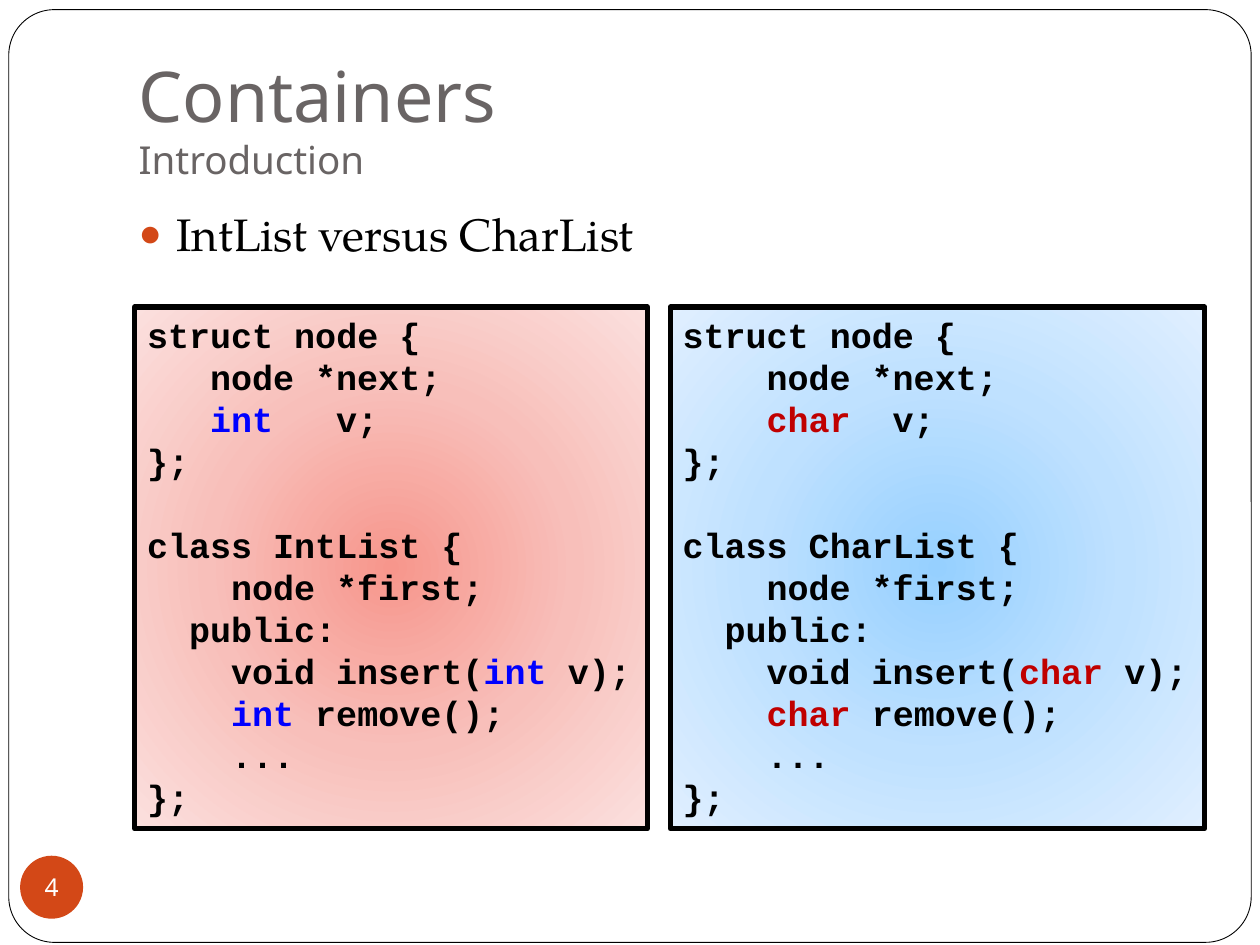
from dataclasses import dataclass

from lxml.etree import SubElement
from pptx import Presentation
from pptx.dml.color import RGBColor
from pptx.enum.shapes import MSO_SHAPE
from pptx.enum.text import MSO_ANCHOR, MSO_AUTO_SIZE, PP_ALIGN
from pptx.oxml import parse_xml
from pptx.oxml.ns import nsdecls, qn
from pptx.util import Pt

COLORS = {
    "black": "000000", "white": "FFFFFF", "title": "696464",
    "accent": "D34817", "int": "0000FF", "char": "C00000",
}
SANS, SERIF, MONO = "Noto Sans", "TeX Gyre Pagella", "Courier New"
CODE_SIZE = 20
CHARACTER_WIDTH = 0.6 * CODE_SIZE
LINE_HEIGHT = 24


@dataclass
class CodeLine:
    indent: int                  # in characters
    pieces: list[str]            # a piece equal to the type name is coloured
    gap_before: bool = False


@dataclass
class CodePanel:
    left: float
    width: float
    type_name: str
    class_name: str
    node_indent: int
    gradient: tuple[str, str, str]


PANELS = [
    CodePanel(77, 293, "int", "IntList", 3, ("F7968C", "F8BFBA", "FBE0DE")),
    CodePanel(383, 305.5, "char", "CharList", 4, ("96D0FF", "BFE1FF", "E0EFFF")),
]


def code_lines(panel: CodePanel) -> list[CodeLine]:
    kind = panel.type_name
    return [
        CodeLine(0, ["struct node {"]),
        CodeLine(panel.node_indent, ["node *next;"]),
        CodeLine(panel.node_indent, [kind, "\tv;"]),
        CodeLine(0, ["};"]),
        CodeLine(0, [f"class {panel.class_name} {{"], gap_before=True),
        CodeLine(4, ["node *first;"]),
        CodeLine(2, ["public:"]),
        CodeLine(4, ["void insert(", kind, " v);"]),
        CodeLine(4, [kind, " remove();"]),
        CodeLine(4, ["..."]),
        CodeLine(0, ["};"]),
    ]


def apply(target, values: dict) -> None:
    for name, value in values.items():
        setattr(target, name, value)


def place(shape, left: float, top: float, width: float, height: float) -> None:
    apply(shape, {"left": Pt(left), "top": Pt(top),
                  "width": Pt(width), "height": Pt(height)})


def add_run(paragraph, text: str, font: str, size: float, color: str,
            bold: bool = False) -> None:
    run = paragraph.add_run()
    run.text = text
    apply(run.font, {"name": font, "size": Pt(size), "bold": bold})
    run.font.color.rgb = RGBColor.from_string(COLORS[color])


def add_box(slide, kind, box: tuple, fill: str | None, line_width: float):
    shape = slide.shapes.add_shape(kind, *(Pt(value) for value in box))
    shape.shadow.inherit = False
    if fill:
        shape.fill.solid()
        shape.fill.fore_color.rgb = RGBColor.from_string(COLORS[fill])
    if line_width:
        shape.line.width = Pt(line_width)
        shape.line.color.rgb = RGBColor.from_string(COLORS["black"])
    else:
        shape.line.fill.background()
    return shape


def set_radial_fill(shape, colors: tuple[str, str, str]) -> None:
    stops = "".join(
        f'<a:gs pos="{index * 50000}"><a:srgbClr val="{color}"/></a:gs>'
        for index, color in enumerate(colors))
    gradient = parse_xml(
        f'<a:gradFill {nsdecls("a")} rotWithShape="1"><a:gsLst>{stops}</a:gsLst>'
        '<a:path path="circle"><a:fillToRect l="50000" t="50000" r="50000"'
        ' b="50000"/></a:path></a:gradFill>')
    shape._element.spPr.find(qn("a:prstGeom")).addnext(gradient)


def add_code_panel(slide, panel: CodePanel) -> None:
    shape = add_box(slide, MSO_SHAPE.RECTANGLE,
                    (panel.left, 175.5, panel.width, 298), None, 3)
    set_radial_fill(shape, panel.gradient)
    frame = shape.text_frame
    apply(frame, {"word_wrap": False, "vertical_anchor": MSO_ANCHOR.TOP})
    for index, line in enumerate(code_lines(panel)):
        paragraph = frame.add_paragraph() if index else frame.paragraphs[0]
        apply(paragraph, {"alignment": PP_ALIGN.LEFT,
                          "line_spacing": Pt(LINE_HEIGHT),
                          "space_before": Pt(LINE_HEIGHT * line.gap_before)})
        properties = paragraph._p.get_or_add_pPr()
        properties.set("marL", str(Pt(line.indent * CHARACTER_WIDTH)))
        properties.set("indent", "0")
        if any("\t" in piece for piece in line.pieces):
            tabs = SubElement(properties, qn("a:tabLst"))
            position = Pt((line.indent + 6) * CHARACTER_WIDTH)
            SubElement(tabs, qn("a:tab"), pos=str(position), algn="l")
        for piece in line.pieces:
            color = piece if piece == panel.type_name else "black"
            add_run(paragraph, piece, MONO, CODE_SIZE, color, bold=True)


presentation = Presentation()
apply(presentation, {"slide_width": Pt(720), "slide_height": Pt(540)})
slide = presentation.slides.add_slide(presentation.slide_layouts[1])
title, body = slide.placeholders[0], slide.placeholders[1]

# Rounded frame, behind the placeholders
frame_shape = add_box(slide, MSO_SHAPE.ROUNDED_RECTANGLE,
                      (5, 5.5, 710, 533), "white", 0.5)
frame_shape.adjustments[0] = 0.049
title._element.addprevious(frame_shape._element)

# Title and subtitle
place(title, 72, 21.6, 612, 90)
apply(title.text_frame, {"vertical_anchor": MSO_ANCHOR.BOTTOM,
                         "margin_bottom": Pt(7.2),
                         "auto_size": MSO_AUTO_SIZE.NONE})
heading = title.text_frame.paragraphs[0]
heading.alignment = PP_ALIGN.LEFT
add_run(heading, "Containers", SANS, 40, "title")
heading.add_line_break()
add_run(heading, "Introduction", SANS, 22, "title")

# Bullet
place(body, 72, 114, 612, 360)
body.text_frame.auto_size = MSO_AUTO_SIZE.NONE
bullet = body.text_frame.paragraphs[0]
bullet.space_before = Pt(5.8)
add_run(bullet, "IntList versus CharList", SERIF, 26, "black")
bullet_properties = bullet._p.get_or_add_pPr()
bullet_properties.set("marL", str(Pt(21.6)))
bullet_properties.set("indent", str(-Pt(21.6)))
bullet_color = SubElement(bullet_properties, qn("a:buClr"))
SubElement(bullet_color, qn("a:srgbClr"), val=COLORS["accent"])
SubElement(bullet_properties, qn("a:buSzPct"), val="85000")
SubElement(bullet_properties, qn("a:buChar"), char="●")

# Code panels
for code_panel in PANELS:
    add_code_panel(slide, code_panel)

# Slide number
badge = add_box(slide, MSO_SHAPE.OVAL, (11.5, 489, 36, 36), "accent", 0)
apply(badge.text_frame, {"word_wrap": False, "vertical_anchor": MSO_ANCHOR.MIDDLE,
                         "margin_left": 0, "margin_right": 0,
                         "margin_top": 0, "margin_bottom": 0})
badge.text_frame.paragraphs[0].alignment = PP_ALIGN.CENTER
add_run(badge.text_frame.paragraphs[0], "4", SANS, 14, "white")

presentation.save("out.pptx")
